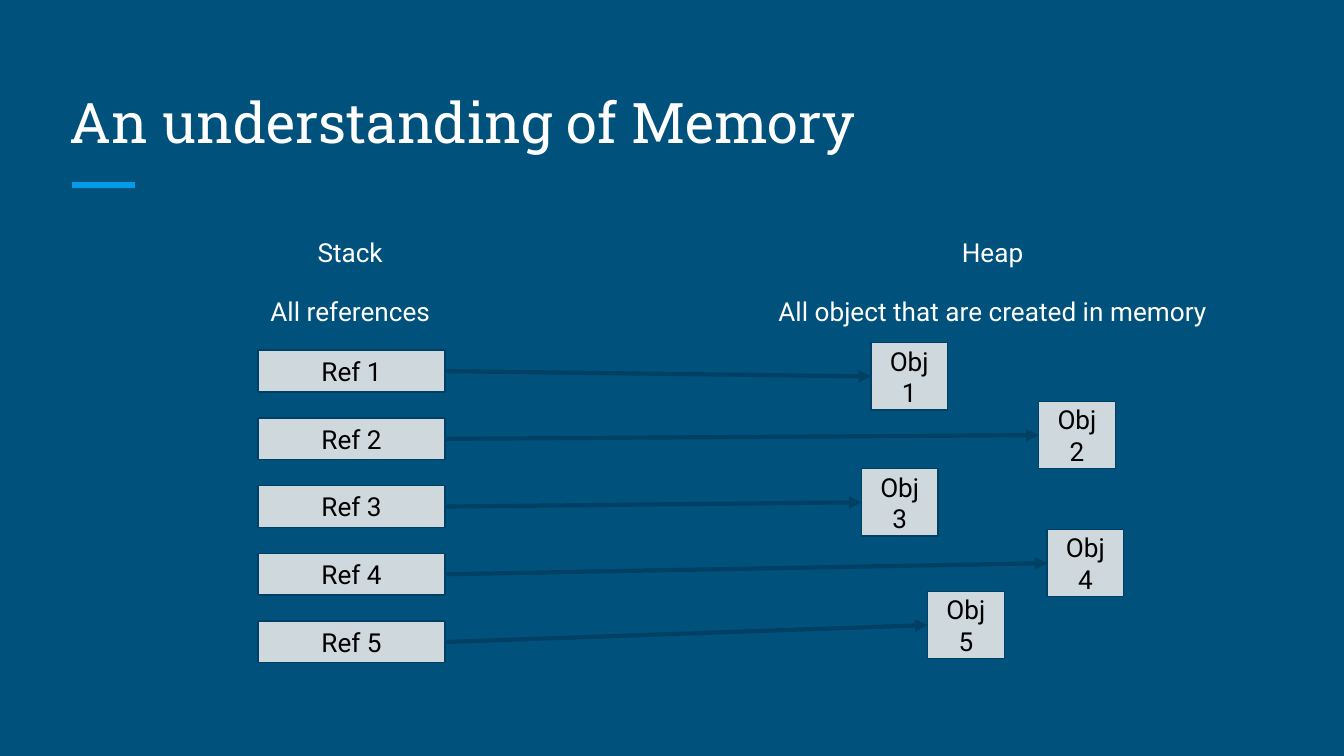
from lxml.etree import SubElement
from pptx import Presentation
from pptx.dml.color import RGBColor
from pptx.enum.shapes import MSO_CONNECTOR as Connector, MSO_SHAPE as Shape
from pptx.enum.text import MSO_ANCHOR as Anchor, MSO_AUTO_SIZE as AutoSize, PP_ALIGN as Align
from pptx.oxml.ns import qn
from pptx.util import Cm, Pt

NAVY = RGBColor(0x00, 0x51, 0x7C)
DARK = RGBColor(0x00, 0x40, 0x65)
ACCENT = RGBColor(0x03, 0x9B, 0xE5)
GREY = RGBColor(0xCF, 0xD8, 0xDC)
WHITE = RGBColor(0xFF, 0xFF, 0xFF)
BLACK = RGBColor(0x00, 0x00, 0x00)


def format_text(box, font, size, color, align, anchor):
    frame = box.text_frame
    frame.word_wrap = True
    frame.auto_size = AutoSize.NONE
    frame.vertical_anchor = anchor
    frame.margin_left = frame.margin_right = Cm(0.25)
    frame.margin_top = frame.margin_bottom = Cm(0.25)
    for para in frame.paragraphs:
        para.alignment = align
        for span in para.runs:
            span.font.name = font
            span.font.size = Pt(size)
            span.font.color.rgb = color


def add_line(start, end, color, width):
    line = page.shapes.add_connector(Connector.STRAIGHT, *start, *end)
    line.line.color.rgb = color
    line.line.width = Pt(width)
    SubElement(line._element.spPr, qn("a:effectLst"))
    return line


deck = Presentation()
deck.slide_width, deck.slide_height = Cm(25.4), Cm(14.29)
page = deck.slides.add_slide(deck.slide_layouts[5])
page.background.fill.solid()
page.background.fill.fore_color.rgb = NAVY

add_line((Cm(1.36), Cm(3.5)), (Cm(2.55), Cm(3.5)), ACCENT, 3)

title = page.shapes.title
title.left, title.top, title.width, title.height = Cm(1.07), Cm(1.27), Cm(23.24), Cm(1.9)
title.text_frame.text = "An understanding of Memory"
format_text(title, "Roboto Slab", 30, WHITE, Align.LEFT, Anchor.BOTTOM)

columns = [
    (1.07, "Stack", "All references"),
    (13.21, "Heap", "All object that are created in memory"),
]
for left, heading, description in columns:
    box = page.shapes.add_textbox(Cm(left), Cm(4.14), Cm(11.1), Cm(2.34))
    box.text_frame.text = heading
    para = box.text_frame.add_paragraph()
    para.text = description
    para.space_before = para.space_after = Pt(12)
    for para in box.text_frame.paragraphs:
        para.line_spacing = 1.15
    format_text(box, "Roboto", 14, WHITE, Align.CENTER, Anchor.TOP)

object_places = [(16.46, 6.48), (19.63, 7.59), (16.28, 8.86), (19.79, 10.01), (17.53, 11.18)]
for number, (object_left, object_top) in enumerate(object_places, 1):
    ends = []
    for label, left, top, width, height in [
        ("Ref", 4.88, 6.62 + 1.28 * (number - 1), 3.53, 0.79),
        ("Obj", object_left, object_top, 1.45, 1.27),
    ]:
        box = page.shapes.add_shape(Shape.RECTANGLE, Cm(left), Cm(top), Cm(width), Cm(height))
        box.shadow.inherit = False
        box.fill.solid()
        box.fill.fore_color.rgb = GREY
        box.line.color.rgb = DARK
        box.line.width = Pt(0.75)
        box.text_frame.text = f"{label} {number}"
        format_text(box, "Roboto", 14, BLACK, Align.CENTER, Anchor.MIDDLE)
        ends.append(box)
    reference, target = ends
    arrow = add_line((0, 0), (0, 0), DARK, 2.25)
    arrow.begin_connect(reference, 3)
    arrow.end_connect(target, 1)
    SubElement(arrow.line._get_or_add_ln(), qn("a:tailEnd"), type="triangle")

deck.save("out.pptx")
